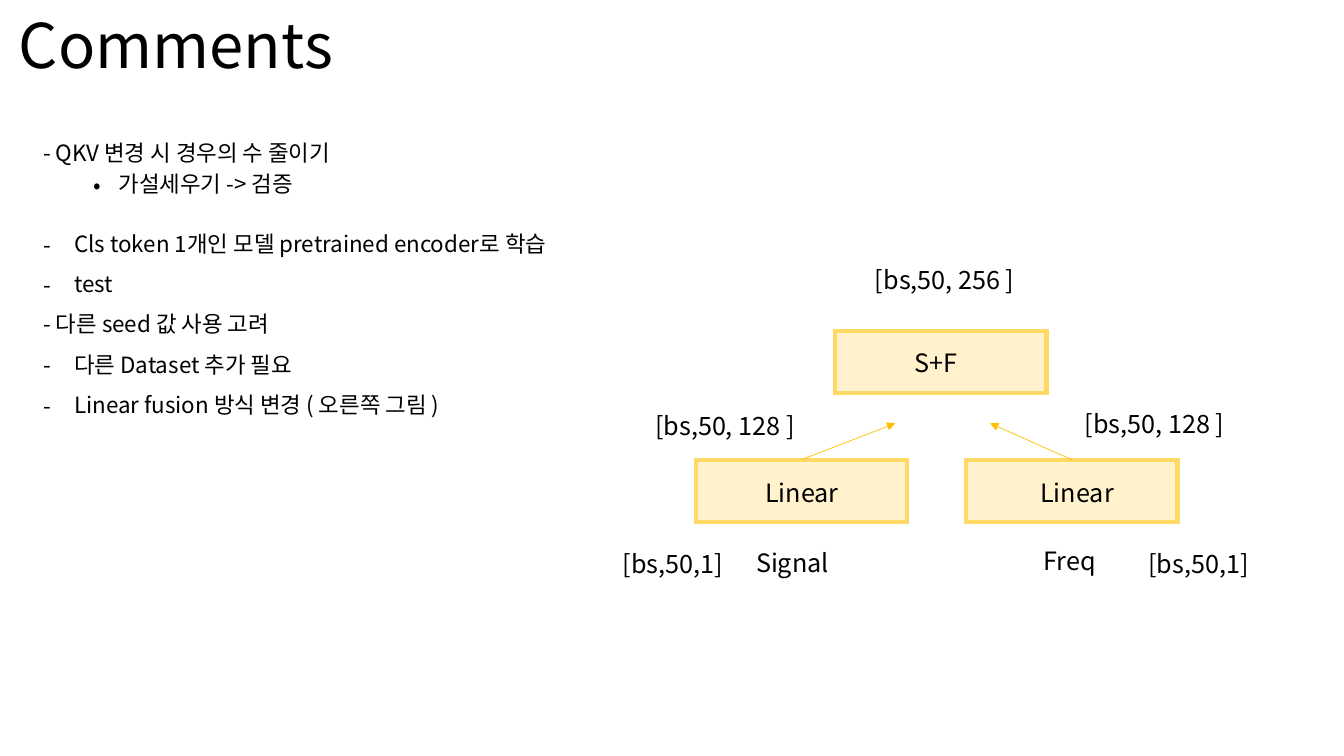
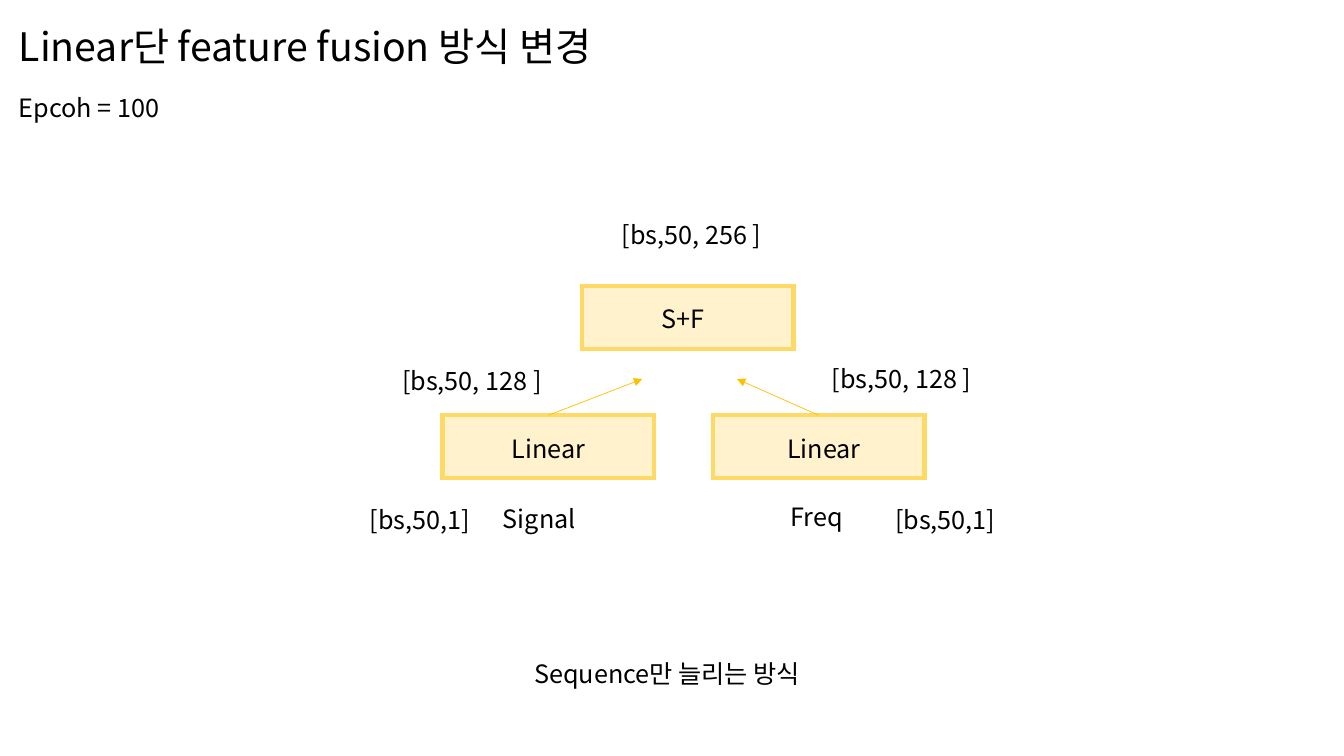
from dataclasses import dataclass

from lxml import etree
from pptx import Presentation
from pptx import util as u
from pptx.dml.color import RGBColor
from pptx.enum import shapes, text
from pptx.oxml import ns

Inches = u.Inches


@dataclass(frozen=True)
class Theme:
    """Colours, font and type sizes shared by the slides."""
    font: str = "Noto Sans CJK KR"
    ink: str = "000000"
    box_fill: str = "FFF2CC"
    box_line: str = "FFD966"
    arrow: str = "FFC000"
    title: int = 44
    long_title: int = 28
    label: int = 18
    note: int = 16


THEME = Theme()
TITLE_BOX = (0.09, -0.24, 11.5, 1.45)
LABEL_HEIGHT = 0.4
SIZE_LABEL_WIDTH = 1.8
NODE_SIZE = (2.1, 0.62)

# Positions are measured from the top left corner of the diagram.
NODES = [(0.82, 1.99), (3.5, 1.99), (2.2, 0.71)]
ARROWS = [((4.55, 1.99), (3.74, 1.63)), ((1.87, 1.99), (2.8, 1.63))]
LABELS = [
    ("[bs,50,1]", 0, 2.82, SIZE_LABEL_WIDTH),
    ("[bs,50,1]", 5.21, 2.82, SIZE_LABEL_WIDTH),
    ("Linear", 1.41, 2.12, 1.1),
    ("Linear", 4.14, 2.12, 1.1),
    ("S+F", 2.89, 0.83, 1.1),
    ("[bs,50, 128 ]", 4.58, 1.43, SIZE_LABEL_WIDTH),
    ("[bs,50, 128 ]", 0.32, 1.45, SIZE_LABEL_WIDTH),
    ("[bs,50, 256 ]", 2.5, 0, SIZE_LABEL_WIDTH),
    ("Signal", 1.32, 2.81, 1.39),
    ("Freq", 4.17, 2.79, 0.89),
]


def lengths(values):
    """Turn numbers into lengths in inches."""
    return [Inches(value) for value in values]


def add_text_box(parent, box, grow=False):
    """Add an empty wrapping text box and return its text frame."""
    frame = parent.add_textbox(*lengths(box)).text_frame
    frame.word_wrap = True
    if grow:
        frame.auto_size = text.MSO_AUTO_SIZE.SHAPE_TO_FIT_TEXT
    return frame


def add_run(paragraph, words, size):
    """Add one run in the theme font for Latin and Korean."""
    run = paragraph.add_run()
    run.text = words
    run.font.size = u.Pt(size)
    run.font.color.rgb = RGBColor.from_string(THEME.ink)
    run.font.name = THEME.font
    etree.SubElement(run.font._element, ns.qn("a:ea"), typeface=THEME.font)


def set_bullet(paragraph, character, margin, hanging):
    """Give a paragraph a bullet with a hanging indent."""
    properties = paragraph._p.get_or_add_pPr()
    properties.set("marL", str(Inches(margin)))
    properties.set("indent", str(-Inches(hanging)))
    etree.SubElement(properties, ns.qn("a:buFont"), typeface=THEME.font)
    etree.SubElement(properties, ns.qn("a:buChar"), char=character)


def add_title(slide, words, size):
    """Place the slide title at the top left."""
    frame = add_text_box(slide.shapes, TITLE_BOX)
    frame.vertical_anchor = text.MSO_ANCHOR.MIDDLE
    paragraph = frame.paragraphs[0]
    paragraph.line_spacing = 0.9
    add_run(paragraph, words, size)


def add_label(parent, words, left, top, width):
    """Add a one-line label."""
    frame = add_text_box(parent, (left, top, width, LABEL_HEIGHT), grow=True)
    add_run(frame.paragraphs[0], words, THEME.label)


def add_node(parent, left, top):
    """Add one framed box with square corners."""
    node = parent.add_shape(shapes.MSO_SHAPE.RECTANGLE,
                            *lengths((left, top, *NODE_SIZE)))
    node.shadow.inherit = False
    node.fill.solid()
    node.fill.fore_color.rgb = RGBColor.from_string(THEME.box_fill)
    node.line.color.rgb = RGBColor.from_string(THEME.box_line)
    node.line.width = u.Pt(3)
    etree.SubElement(node.line._get_or_add_ln(), ns.qn("a:miter"),
                     lim="800000")


def add_arrow(parent, start, end):
    """Add a thin arrow pointing at its end."""
    arrow = parent.add_connector(shapes.MSO_CONNECTOR.STRAIGHT,
                                 *lengths((*start, *end)))
    arrow.line.color.rgb = RGBColor.from_string(THEME.arrow)
    arrow.line.width = u.Pt(0.5)
    etree.SubElement(arrow.line._get_or_add_ln(), ns.qn("a:tailEnd"),
                     type="triangle")
    etree.SubElement(arrow._element.spPr, ns.qn("a:effectLst"))


def add_fusion_diagram(slide, left, top):
    """Draw the signal and frequency fusion as one group."""
    parent = slide.shapes.add_group_shape().shapes
    for x, y in NODES:
        add_node(parent, left + x, top + y)
    for ends in ARROWS:
        add_arrow(parent, *((left + x, top + y) for x, y in ends))
    for words, x, y, width in LABELS:
        add_label(parent, words, left + x, top + y, width)


def add_lead(slide, box):
    """Place the opening comment and its sub-point."""
    frame = add_text_box(slide.shapes, box)
    comment, point = frame.paragraphs[0], frame.add_paragraph()
    point.level = 1
    for paragraph, words, before in ((comment, "- QKV 변경 시 경우의 수 줄이기", 10),
                                     (point, "가설세우기 -> 검증", 5)):
        paragraph.line_spacing = 0.9
        paragraph.space_before = u.Pt(before)
        add_run(paragraph, words, THEME.note)
    set_bullet(point, "•", 0.75, 0.25)


def add_notes_list(slide, box):
    """Place the list of comments, most of them with a dash bullet."""
    items = [
        ("Cls token 1개인 모델 pretrained encoder로 학습", True),
        ("test", True),
        ("- 다른 seed 값 사용 고려", False),
        ("다른 Dataset 추가 필요", True),
        ("Linear fusion 방식 변경 ( 오른쪽 그림 )", True),
    ]
    frame = add_text_box(slide.shapes, box, grow=True)
    for index, (words, bulleted) in enumerate(items):
        paragraph = frame.add_paragraph() if index else frame.paragraphs[0]
        paragraph.line_spacing = 1.5
        if bulleted:
            set_bullet(paragraph, "-", 0.31, 0.31)
        add_run(paragraph, words, THEME.note)


def build_comments(slide):
    """Build the slide of comments with the diagram on the right."""
    add_title(slide, "Comments", THEME.title)
    add_lead(slide, (0.33, 1.36, 11.5, 0.89))
    add_notes_list(slide, (0.33, 2.1, 10.56, 2.47))
    add_fusion_diagram(slide, 6.08, 2.57)


def build_fusion(slide):
    """Build the slide on the changed fusion method."""
    add_title(slide, "Linear단 feature fusion 방식 변경", THEME.long_title)
    add_label(slide.shapes, "Epcoh = 100", 0.09, 0.87, SIZE_LABEL_WIDTH)
    add_fusion_diagram(slide, 3.57, 2.13)
    add_label(slide.shapes, "Sequence만 늘리는 방식", 5.2, 6.48, 7.46)


def main():
    """Build and save the presentation."""
    presentation = Presentation()
    presentation.slide_width = Inches(13.33)
    presentation.slide_height = Inches(7.5)
    blank = presentation.slide_layouts[6]
    for build in (build_comments, build_fusion):
        build(presentation.slides.add_slide(blank))
    presentation.save("out.pptx")


main()
